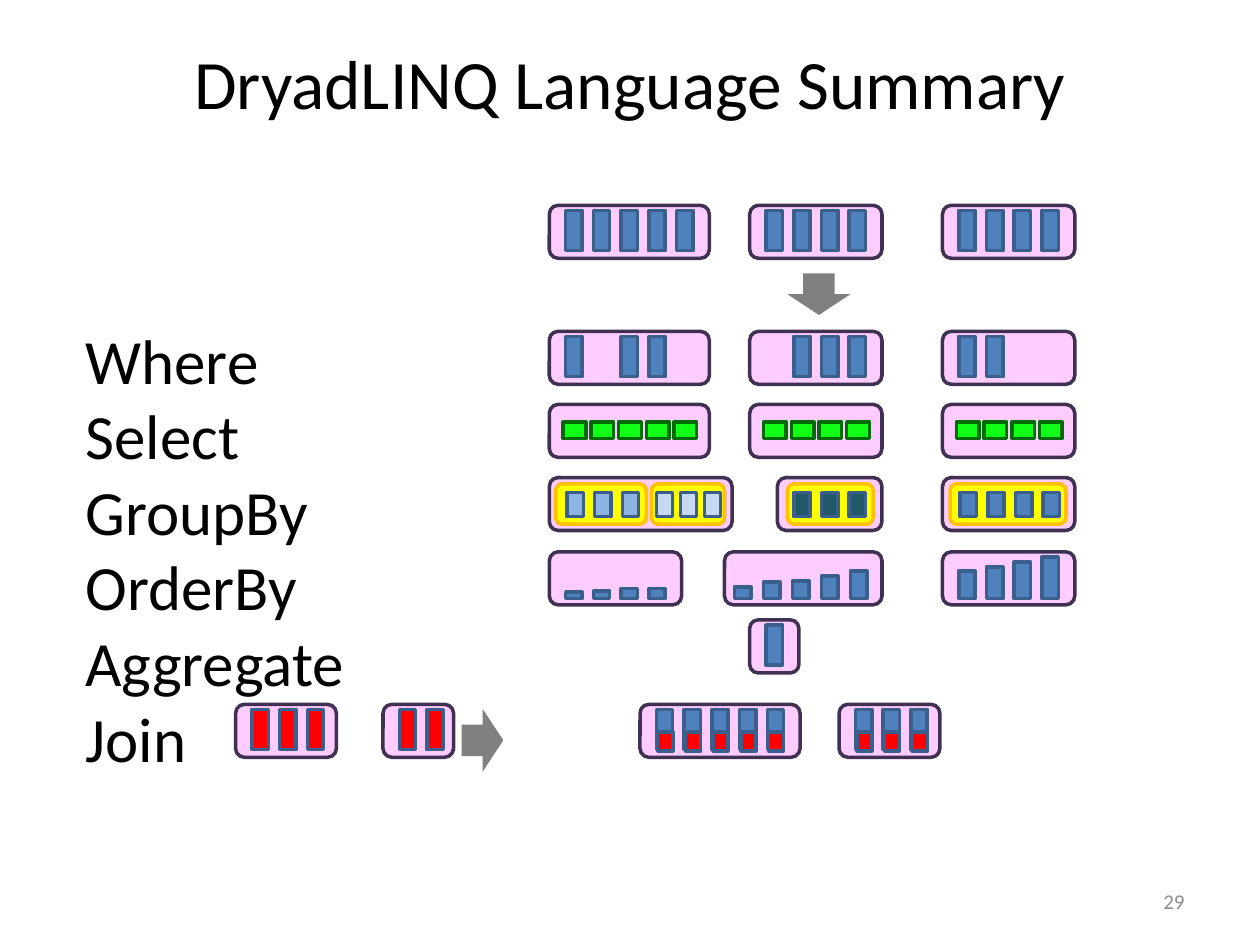
from dataclasses import dataclass

from pptx import Presentation
from pptx.dml.color import RGBColor
from pptx.enum.shapes import MSO_SHAPE as Shape
from pptx.enum.text import MSO_ANCHOR as Anchor, PP_ALIGN as Align
from pptx.util import Inches, Pt

COLORS = {
    "partition": "FFCCFF", "partition_edge": "403152",
    "group": "FFFF00", "group_edge": "FFC000",
    "record": "4F81BD", "record_edge": "3A5F8C",
    "selected": "11FF17", "selected_edge": "006C05",
    "light_key": "8EB4E3", "pale_key": "C6D9F1", "dark_key": "215968",
    "joined": "FF0000", "arrow": "808080",
    "text": "000000", "page_number": "8C8C8C",
}
FONT = "Calibri"
BOX_HEIGHT = 0.42
FULL = 0.32


@dataclass(frozen=True)
class Records:
    """A run of bars on one baseline; a height of 0 leaves its slot empty."""
    heights: tuple[float, ...]
    offset: float = 0.13
    base: float = 0.36
    width: float = 0.13
    pitch: float = 0.22
    fill: str = "record"
    edge: str = "record_edge"


@dataclass(frozen=True)
class Group:
    offset: float
    width: float
    records: Records


@dataclass(frozen=True)
class Partition:
    left: float
    width: float
    contents: tuple[Records | Group, ...]


@dataclass(frozen=True)
class Row:
    top: float
    partitions: tuple[Partition, ...]


def full(count: int, fill: str = "record") -> Records:
    return Records((FULL,) * count, fill=fill)


def selected(count: int) -> Records:
    return Records((0.13,) * count, 0.11, 0.27, 0.18,
                   fill="selected", edge="selected_edge")


def keyed(count: int, offset: float, fill: str, pitch: float = 0.22) -> Records:
    return Records((0.19,) * count, offset, 0.31, pitch=pitch, fill=fill)


def ordered(*heights: float, offset: float = 0.13, pitch: float = 0.22) -> Records:
    return Records(heights, offset, 0.37, pitch=pitch)


def joined(count: int) -> tuple[Records, Records]:
    """Blue records whose lower halves are covered by the matching red ones."""
    return full(count), Records((0.15,) * count, 0.14, 0.37, 0.12, fill="joined")


ROWS = (
    Row(1.63, (  # input
        Partition(4.36, 1.27, (full(5),)),
        Partition(5.95, 1.05, (full(4),)),
        Partition(7.48, 1.05, (full(4),)),
    )),
    Row(2.63, (  # Where
        Partition(4.36, 1.27, (Records((FULL, 0, FULL, FULL)),)),
        Partition(5.95, 1.05, (Records((0, FULL, FULL, FULL)),)),
        Partition(7.48, 1.05, (full(2),)),
    )),
    Row(3.21, (  # Select
        Partition(4.36, 1.27, (selected(5),)),
        Partition(5.95, 1.05, (selected(4),)),
        Partition(7.48, 1.05, (selected(4),)),
    )),
    Row(3.79, (  # GroupBy
        Partition(4.36, 1.45, (
            Group(0.05, 0.72, keyed(3, 0.14, "light_key")),
            Group(0.81, 0.58, keyed(3, 0.85, "pale_key", 0.19)),
        )),
        Partition(6.17, 0.83, (Group(0.08, 0.68, keyed(3, 0.13, "dark_key")),)),
        Partition(7.48, 1.05, (Group(0.06, 0.92, keyed(4, 0.14, "record")),)),
    )),
    Row(4.38, (  # OrderBy
        Partition(4.36, 1.05, (ordered(0.05, 0.06, 0.08, 0.08),)),
        Partition(5.75, 1.25, (ordered(0.09, 0.13, 0.14, 0.18, 0.22,
                                       offset=0.08, pitch=0.23),)),
        Partition(7.48, 1.05, (ordered(0.22, 0.25, 0.29, 0.33),)),
    )),
    Row(4.92, (Partition(5.95, 0.39, (full(1),)),)),  # Aggregate
    Row(5.59, (  # Join
        Partition(1.87, 0.8, (full(3, "joined"),)),
        Partition(3.04, 0.56, (full(2, "joined"),)),
        Partition(5.08, 1.27, joined(5)),
        Partition(6.66, 0.8, joined(3)),
    )),
)
OPERATORS = ("Where", "Select", "GroupBy", "OrderBy", "Aggregate", "Join")


def color(name: str) -> RGBColor:
    return RGBColor.from_string(COLORS[name])


def draw_shape(slide, kind: Shape, left: float, top: float, width: float,
               height: float, fill: str, edge: str | None = None):
    shape = slide.shapes.add_shape(
        kind, Inches(left), Inches(top), Inches(width), Inches(height))
    shape.shadow.inherit = False
    shape.fill.solid()
    shape.fill.fore_color.rgb = color(fill)
    if edge:
        shape.line.color.rgb = color(edge)
        shape.line.width = Pt(2)
    else:
        shape.line.fill.background()
    return shape


def draw_records(slide, left: float, top: float, records: Records) -> None:
    for slot, height in enumerate(records.heights):
        if height:
            draw_shape(slide, Shape.RECTANGLE,
                       left + records.offset + slot * records.pitch,
                       top + records.base - height, records.width, height,
                       records.fill, records.edge)


def draw_partition(slide, top: float, partition: Partition) -> None:
    left = partition.left
    draw_shape(slide, Shape.ROUNDED_RECTANGLE, left, top, partition.width,
               BOX_HEIGHT, "partition", "partition_edge")
    for content in partition.contents:
        records = content
        if isinstance(content, Group):
            draw_shape(slide, Shape.ROUNDED_RECTANGLE, left + content.offset,
                       top + 0.05, content.width, FULL, "group", "group_edge")
            records = content.records
        draw_records(slide, left, top, records)


def draw_text(slide, left: float, top: float, width: float, height: float,
              lines: tuple[str, ...], size: float, ink: str = "text",
              align: Align = Align.LEFT, anchor: Anchor = Anchor.MIDDLE,
              wrap: bool = True) -> None:
    frame = slide.shapes.add_textbox(
        Inches(left), Inches(top), Inches(width), Inches(height)).text_frame
    frame.word_wrap = wrap
    frame.vertical_anchor = anchor
    frame.text = "\n".join(lines)
    for paragraph in frame.paragraphs:
        paragraph.alignment = align
        for run in paragraph.runs:
            run.font.name = FONT
            run.font.size = Pt(size)
            run.font.color.rgb = color(ink)


def main() -> None:
    deck = Presentation()
    deck.slide_width, deck.slide_height = Inches(10), Inches(7.5)
    slide = deck.slides.add_slide(deck.slide_layouts[6])

    draw_text(slide, 0.5, 0.3, 9, 0.7, ("DryadLINQ Language Summary",), 39.6,
              align=Align.CENTER)
    draw_text(slide, 0.58, 2.5, 2.28, 3.74, OPERATORS, 36,
              anchor=Anchor.TOP, wrap=False)
    draw_text(slide, 7.17, 6.95, 2.33, 0.4, ("29",), 12, "page_number", Align.RIGHT)

    for row in ROWS:
        for partition in row.partitions:
            draw_partition(slide, row.top, partition)

    draw_shape(slide, Shape.DOWN_ARROW, 6.25, 2.17, 0.5, 0.33, "arrow")
    join_arrow = draw_shape(slide, Shape.DOWN_ARROW, 3.58, 5.71, 0.5, 0.33, "arrow")
    join_arrow.rotation = 270

    deck.save("out.pptx")


if __name__ == "__main__":
    main()
